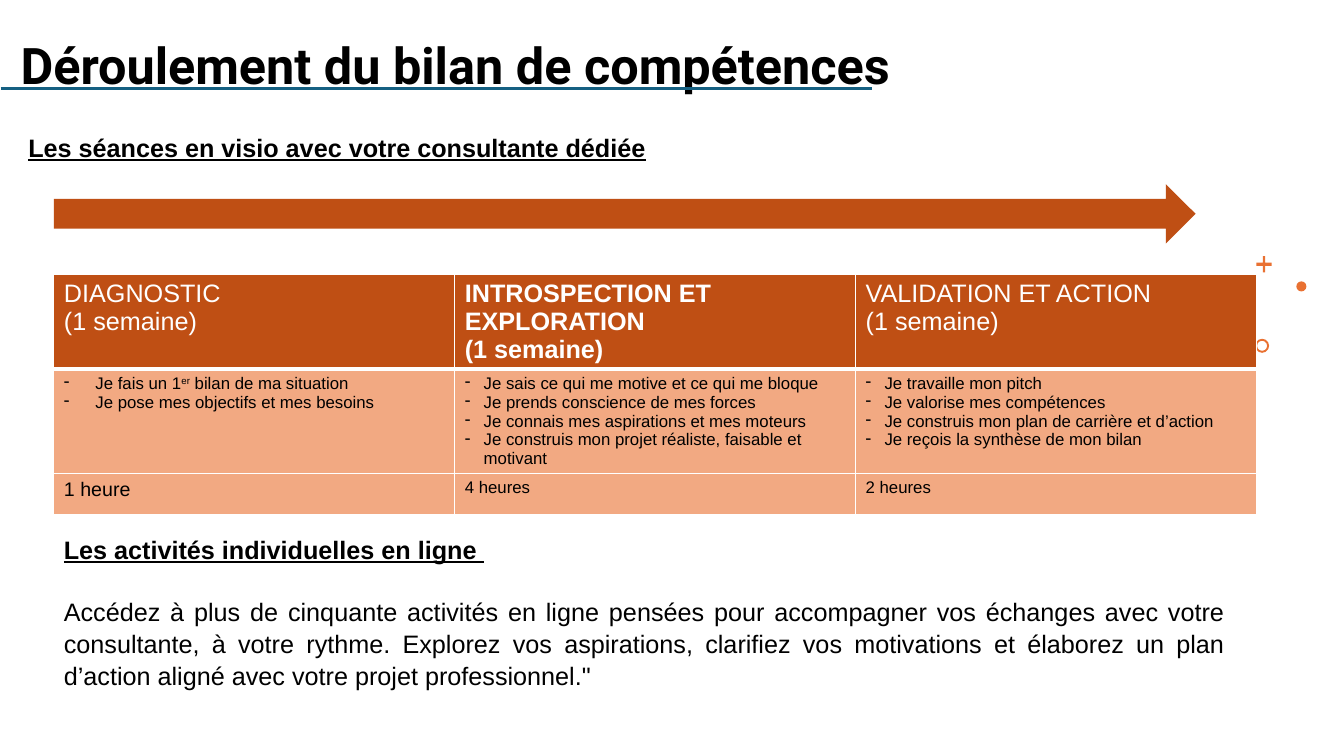
import pptx
import pptx.util
import pptx.oxml
import pptx.oxml.ns
import pptx.dml.color
import pptx.enum.shapes
import pptx.enum.text
import lxml.etree

Pt = pptx.util.Pt
SHAPES = pptx.enum.shapes.MSO_SHAPE
ALIGN = pptx.enum.text.PP_ALIGN
RUST, PEACH, ORANGE, TEAL = "BF4F14", "F2A982", "E97132", "156082"
WHITE, BLACK = "FFFFFF", "000000"

# Heading, its weight, bullet indent, bullets, duration and duration size.
# A bullet given as a tuple has its second part in superscript.
STAGES = [
    ("DIAGNOSTIC", False, 22.5,
     [("Je fais un 1", "er", " bilan de ma situation"),
      "Je pose mes objectifs et mes besoins"],
     "1 heure", 14),
    ("INTROSPECTION ET EXPLORATION", True, 13.5,
     ["Je sais ce qui me motive et ce qui me bloque",
      "Je prends conscience de mes forces",
      "Je connais mes aspirations et mes moteurs",
      "Je construis mon projet réaliste, faisable et motivant"],
     "4 heures", 12),
    ("VALIDATION ET ACTION", False, 13.5,
     ["Je travaille mon pitch",
      "Je valorise mes compétences",
      "Je construis mon plan de carrière et d’action",
      "Je reçois la synthèse de mon bilan"],
     "2 heures", 12),
]


def colour(hex_value):
    return pptx.dml.color.RGBColor.from_string(hex_value)


def add_xml(parent, tag, **attributes):
    return lxml.etree.SubElement(parent, pptx.oxml.ns.qn(tag), attributes)


def style(paragraph, size, hex_value=BLACK, bold=False, underline=False, font="Arial"):
    for run in paragraph.runs:
        run.font.name = font
        run.font.size = Pt(size)
        run.font.bold = bold
        run.font.underline = underline
        run.font.color.rgb = colour(hex_value)


def place(shape, left, top, width, height):
    shape.left, shape.top = Pt(left), Pt(top)
    shape.width, shape.height = Pt(width), Pt(height)


def add_solid(slide, kind, left, top, width, height, hex_value):
    solid = slide.shapes.add_shape(kind, Pt(left), Pt(top), Pt(width), Pt(height))
    solid.shadow.inherit = False
    solid.fill.solid()
    solid.fill.fore_color.rgb = colour(hex_value)
    solid.line.fill.background()
    return solid


def add_title(slide, left, top, width, height):
    title = slide.shapes.title
    place(title, left, top, width, height)
    frame = title.text_frame
    frame.text = "Déroulement du bilan de compétences"
    frame.auto_size = pptx.enum.text.MSO_AUTO_SIZE.NONE
    frame.vertical_anchor = pptx.enum.text.MSO_ANCHOR.BOTTOM
    heading = frame.paragraphs[0]
    heading.alignment = ALIGN.LEFT
    heading.line_spacing = 0.9
    style(heading, 36, bold=True, font="Roboto")

    # Rule under the title
    rule_y = Pt(top + height - 8)
    rule = slide.shapes.add_connector(
        pptx.enum.shapes.MSO_CONNECTOR.STRAIGHT, Pt(0.5), rule_y, Pt(623), rule_y)
    rule.line.color.rgb = colour(TEAL)
    rule.line.width = Pt(2)
    add_xml(rule._element.spPr, "a:effectLst")


def add_sessions_heading(slide, left, top, width, height):
    sessions = slide.placeholders[1]
    place(sessions, left, top, width, height)
    frame = sessions.text_frame
    frame.text = "Les séances en visio avec votre consultante dédiée"
    frame.auto_size = pptx.enum.text.MSO_AUTO_SIZE.NONE
    heading = frame.paragraphs[0]
    properties = heading._p.get_or_add_pPr()
    properties.set("marL", "0")
    properties.set("indent", "0")
    add_xml(properties, "a:buNone")
    heading.space_before = Pt(0)
    heading.line_spacing = 0.9
    style(heading, 18, bold=True, underline=True)


def add_ornaments(slide, left, top):
    plus = add_solid(slide, SHAPES.CROSS, left + 1, top, 10.8, 11.5, ORANGE)
    plus.adjustments[0] = 0.43
    add_solid(slide, SHAPES.OVAL, left + 29.5, top + 18, 7.2, 7.2, ORANGE)
    ring = add_solid(slide, SHAPES.DONUT, left, top + 59, 10, 10, ORANGE)
    ring.adjustments[0] = 0.14


def set_borders(cell, top, bottom):
    properties = cell._tc.get_or_add_tcPr()
    for tag, width in (("a:lnL", 1), ("a:lnR", 1), ("a:lnT", top), ("a:lnB", bottom)):
        border = add_xml(properties, tag, w=str(Pt(width)))
        add_xml(add_xml(border, "a:solidFill"), "a:srgbClr", val=WHITE)


def fill_bullets(cell, bullets, indent):
    frame = cell.text_frame
    for index, bullet in enumerate(bullets):
        item = frame.paragraphs[0] if index == 0 else frame.add_paragraph()
        properties = item._p.get_or_add_pPr()
        properties.set("marL", str(Pt(indent)))
        properties.set("indent", str(-Pt(indent)))
        add_xml(add_xml(properties, "a:buClr"), "a:srgbClr", val=BLACK)
        add_xml(properties, "a:buFontTx")
        add_xml(properties, "a:buChar", char="-")
        if isinstance(bullet, tuple):
            for part in bullet:
                item.add_run().text = part
            item.runs[1]._r.get_or_add_rPr().set("baseline", "30000")
        else:
            item.text = bullet
        style(item, 12)


def add_stage_table(slide, left, top, width, row_heights):
    stages = slide.shapes.add_table(
        len(row_heights), len(STAGES), Pt(left), Pt(top),
        Pt(width), Pt(sum(row_heights))).table
    for row, height in zip(stages.rows, row_heights):
        row.height = Pt(height)
    for column, stage in enumerate(STAGES):
        heading, bold, indent, bullets, duration, duration_size = stage
        stages.columns[column].width = Pt(width / len(STAGES))
        cells = [stages.cell(row, column) for row in range(len(row_heights))]
        borders = [(1, 3), (3, 1), (1, 1)]
        for cell, (above, below), fill in zip(cells, borders, (RUST, PEACH, PEACH)):
            set_borders(cell, above, below)
            cell.fill.solid()
            cell.fill.fore_color.rgb = colour(fill)

        cells[0].text_frame.text = f"{heading}\n(1 semaine)"
        for line in cells[0].text_frame.paragraphs:
            style(line, 18, WHITE, bold)
        fill_bullets(cells[1], bullets, indent)
        cells[2].text_frame.text = duration
        style(cells[2].text_frame.paragraphs[0], duration_size)


def add_online_activities(slide, left, top, width, height):
    activities = slide.shapes.add_textbox(Pt(left), Pt(top), Pt(width), Pt(height))
    frame = activities.text_frame
    frame.word_wrap = True
    frame.text = "Les activités individuelles en ligne "
    heading = frame.paragraphs[0]
    details = frame.add_paragraph()
    details.text = (
        "Accédez à plus de cinquante activités en ligne pensées pour accompagner "
        "vos échanges avec votre consultante, à votre rythme. Explorez vos "
        "aspirations, clarifiez vos motivations et élaborez un plan d’action "
        "aligné avec votre projet professionnel.\"")
    for paragraph in (heading, details):
        paragraph.alignment = ALIGN.JUSTIFY
        paragraph.line_spacing = 1.06
    details.space_before = Pt(22)
    style(heading, 18, bold=True, underline=True)
    style(details, 18)


def main():
    presentation = pptx.Presentation()
    presentation.slide_width, presentation.slide_height = Pt(960), Pt(540)
    slide = presentation.slides.add_slide(presentation.slide_layouts[1])

    add_title(slide, 7.5, 11.5, 944, 60)
    add_sessions_heading(slide, 13, 93, 900, 435.5)
    add_ornaments(slide, 896.5, 183)
    # Timeline arrow above the stages
    add_solid(slide, SHAPES.RIGHT_ARROW, 38.5, 131.5, 815.5, 42.5, RUST)
    add_stage_table(slide, 38.5, 196, 859, (67.5, 73.5, 29.5))
    add_online_activities(slide, 38.5, 376.5, 843.5, 116.5)

    presentation.save("out.pptx")


if __name__ == "__main__":
    main()
